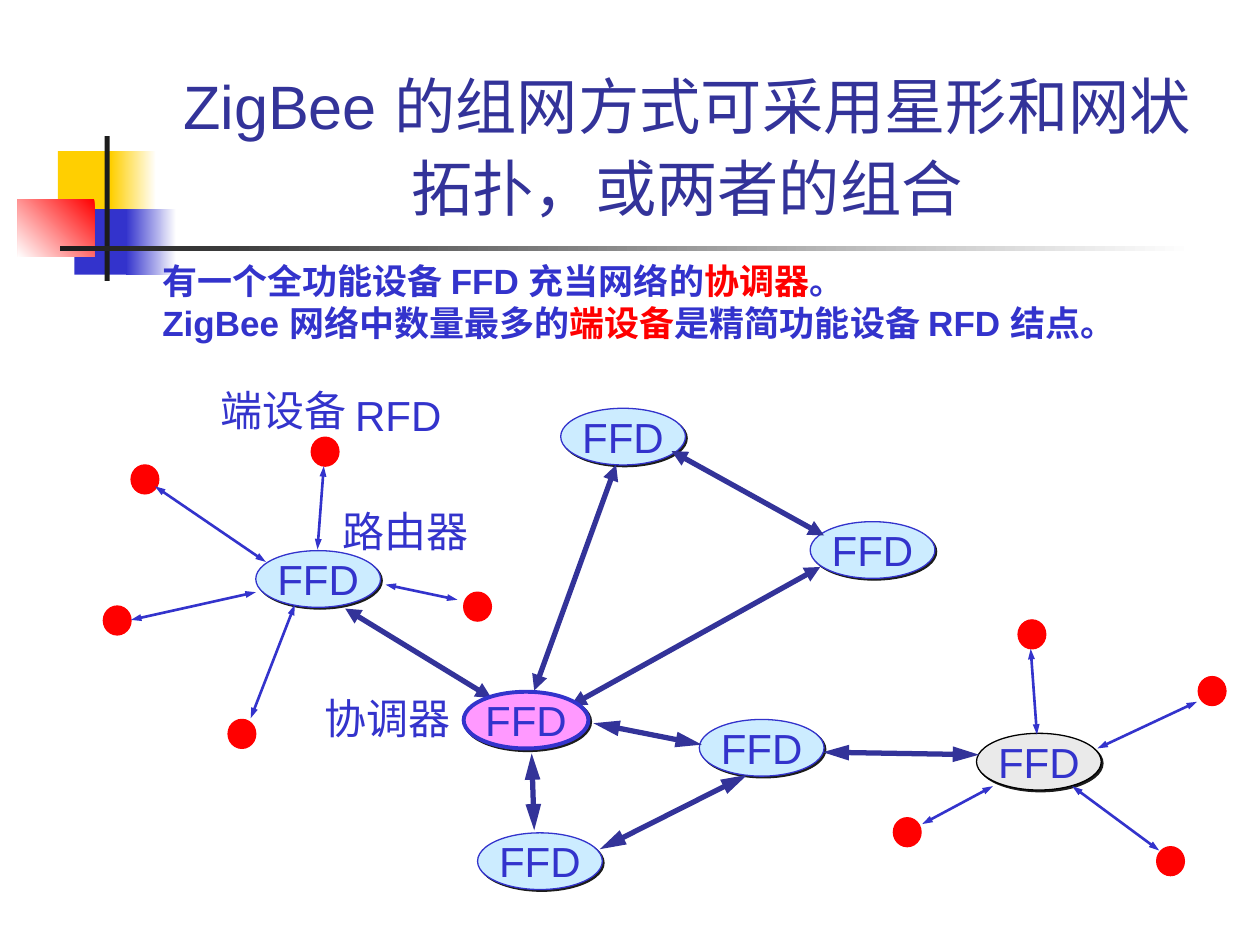
from dataclasses import dataclass
from typing import Optional

from lxml import etree
from pptx import Presentation
from pptx.dml.color import RGBColor
from pptx.enum.shapes import MSO_CONNECTOR, MSO_SHAPE
from pptx.enum.text import MSO_ANCHOR, MSO_AUTO_SIZE, PP_ALIGN
from pptx.oxml.ns import qn
from pptx.util import Inches, Pt

RECTANGLE, OVAL = MSO_SHAPE.RECTANGLE, MSO_SHAPE.OVAL
STRAIGHT = MSO_CONNECTOR.STRAIGHT
MIDDLE, BOTTOM = MSO_ANCHOR.MIDDLE, MSO_ANCHOR.BOTTOM
LEFT, CENTER = PP_ALIGN.LEFT, PP_ALIGN.CENTER
NO_FIT, GROW = MSO_AUTO_SIZE.NONE, MSO_AUTO_SIZE.SHAPE_TO_FIT_TEXT

WHITE = RGBColor(0xFF, 0xFF, 0xFF)
BLACK = RGBColor(0x00, 0x00, 0x00)
INK = RGBColor(0x1C, 0x1C, 0x1C)
RED = RGBColor(0xFF, 0x00, 0x00)
YELLOW = RGBColor(0xFF, 0xCF, 0x01)
BLUE = RGBColor(0x33, 0x33, 0xCC)
NAVY = RGBColor(0x33, 0x33, 0x99)
SKY = RGBColor(0xCC, 0xEC, 0xFF)
PINK = RGBColor(0xFF, 0x99, 0xFF)
GREY = RGBColor(0xEA, 0xEA, 0xEA)

DEVICE_SIZE = (0.22, 0.23)
NODE_SIZE = (0.99, 0.45)


@dataclass(frozen=True)
class Block:
    """A plain or fading rectangle of the slide's decoration."""
    box: tuple
    start: RGBColor
    end: Optional[RGBColor] = None
    angle: int = 180


@dataclass(frozen=True)
class Node:
    """A full-function device."""
    left: float
    top: float
    fill: RGBColor = SKY
    outline: RGBColor = BLUE
    weight: float = 0.75


@dataclass(frozen=True)
class LinkStyle:
    """Look of a two-way link."""
    color: RGBColor
    weight: float
    head_width: str
    head_length: str


@dataclass(frozen=True)
class Label:
    """Text lines, each made of (text, format) runs."""
    box: tuple
    lines: tuple
    wrap: bool = False


BLOCKS = (
    Block((0.46, 1.2, 0.48, 0.52), YELLOW),
    Block((0.88, 1.2, 0.36, 0.52), WHITE, YELLOW),
    Block((0.59, 1.66, 0.46, 0.52), BLUE),
    Block((1, 1.66, 0.4, 0.52), WHITE, BLUE),
    Block((0.14, 1.58, 0.61, 0.46), RED, WHITE, 225),
    Block((0.83, 1.08, 0.04, 1.15), INK),
    Block((0.48, 1.95, 9, 0.04), WHITE, INK),
)
DEVICES = ((2.47, 3.47), (9.18, 6.72), (7.09, 6.49), (9.51, 5.37), (8.08, 4.92),
           (1.04, 3.69), (0.82, 4.81), (1.81, 5.71), (3.68, 4.7))
ROUTERS = (Node(2.03, 4.37), Node(3.79, 6.61), Node(6.43, 4.14), Node(4.45, 3.24),
           Node(7.75, 5.82, GREY, BLACK), Node(5.55, 5.71))
COORDINATOR = Node(3.68, 5.49, PINK, BLUE, 2.25)

LINKS = {
    LinkStyle(NAVY, 3, "med", "med"): (
        (4.89, 3.69, 4.24, 5.48), (2.74, 4.83, 3.9, 5.54),
        (5.33, 3.58, 6.54, 4.25), (6.51, 4.5, 4.53, 5.6)),
    LinkStyle(NAVY, 3, "med", "lg"): (
        (4.22, 5.98, 4.24, 6.59), (5.57, 5.91, 4.71, 5.74),
        (7.77, 5.99, 6.53, 5.97), (5.93, 6.15, 4.76, 6.74)),
    LinkStyle(BLUE, 1.5, "sm", "med"): (
        (1.23, 3.86, 2.11, 4.46), (3.06, 4.64, 3.63, 4.76), (2.57, 3.7, 2.52, 4.36),
        (1.04, 4.92, 2.03, 4.7), (9.5, 5.57, 8.71, 5.94), (8.18, 5.15, 8.23, 5.83),
        (2.34, 4.8, 1.99, 5.7), (8.51, 6.24, 9.2, 6.75), (7.88, 6.24, 7.32, 6.54)),
}

PLAIN = dict(name="Arial", size=Pt(24), color=BLUE)
HEADING = dict(name="Arial", size=Pt(35), color=NAVY)
BOLD = dict(name="Arial", size=Pt(20), bold=True, color=BLUE)
CABIN = {**BOLD, "name": "Cabin"}
KEYWORD = {**CABIN, "color": RED}
KEYWORD_ARIAL = {**BOLD, "color": RED}
LABELS = (
    Label((2.72, 3.04, 0.92, 0.5), ((("RFD", PLAIN),),)),
    Label((1.65, 3, 1.2, 0.5), ((("端设备", PLAIN),),)),
    Label((2.62, 3.96, 1.2, 0.5), ((("路由器", PLAIN),),)),
    Label((2.48, 5.45, 1.2, 0.5), ((("协调器", PLAIN),),)),
    Label((1.19, 2.01, 8.02, 0.77), (
        (("有一个全功能设备 FFD 充当", BOLD), ("网络的", CABIN),
         ("协调器", KEYWORD), ("。", CABIN)),
        (("ZigBee 网络中数量最多的", BOLD), ("端设备", KEYWORD_ARIAL),
         ("是精简功能设备 RFD 结点。", BOLD))), True),
)


def write(frame, lines: tuple, align, **settings) -> None:
    """Fill a text frame with formatted lines."""
    for key, value in settings.items():
        setattr(frame, key, value)
    for index, line in enumerate(lines):
        paragraph = frame.add_paragraph() if index else frame.paragraphs[0]
        paragraph.alignment = align
        for text, style in line:
            run = paragraph.add_run()
            run.text = text
            for key, value in style.items():
                if key == "color":
                    run.font.color.rgb = value
                else:
                    setattr(run.font, key, value)


def add_filled(slide, kind, box: tuple, fill: RGBColor):
    """Add a shape with a solid fill and neither shadow nor outline."""
    shape = slide.shapes.add_shape(kind, *map(Inches, box))
    shape.shadow.inherit = False
    shape.fill.solid()
    shape.fill.fore_color.rgb = fill
    shape.line.fill.background()
    return shape


def set_outline(shape, color: RGBColor, weight: float) -> None:
    """Give a shape or connector a solid line."""
    shape.line.color.rgb = color
    shape.line.width = Pt(weight)


def add_block(slide, block: Block) -> None:
    """Draw one decoration rectangle."""
    shape = add_filled(slide, RECTANGLE, block.box, block.start)
    if block.end is not None:
        shape.fill.gradient()
        shape.fill.gradient_angle = block.angle
        for stop, color in zip(shape.fill.gradient_stops, (block.start, block.end)):
            stop.color.rgb = color


def add_node(slide, node: Node) -> None:
    """Draw a full-function device with its hard shadow."""
    shape = add_filled(slide, OVAL, (node.left, node.top, *NODE_SIZE), node.fill)
    set_outline(shape, node.outline, node.weight)
    effects = shape._element.spPr.find(qn("a:effectLst"))
    shadow = etree.SubElement(effects, qn("a:outerShdw"), dist=str(Pt(1.4)),
                              dir="2700000", algn="ctr", rotWithShape="0")
    etree.SubElement(shadow, qn("a:srgbClr"), val=str(INK))
    write(shape.text_frame, ((("FFD", PLAIN),),), CENTER,
          word_wrap=False, vertical_anchor=MIDDLE)


def add_link(slide, ends: tuple, style: LinkStyle) -> None:
    """Draw a line with an arrowhead at both ends."""
    link = slide.shapes.add_connector(STRAIGHT, *map(Inches, ends))
    set_outline(link, style.color, style.weight)
    for end in ("a:headEnd", "a:tailEnd"):
        etree.SubElement(link.line._get_or_add_ln(), qn(end), type="triangle",
                         w=style.head_width, len=style.head_length)
    etree.SubElement(link._element.spPr, qn("a:effectLst"))


def main() -> None:
    """Build and save the slide."""
    deck = Presentation()
    deck.slide_width, deck.slide_height = Inches(10), Inches(7.5)
    slide = deck.slides.add_slide(deck.slide_layouts[5])
    for block in BLOCKS:
        add_block(slide, block)
    title = slide.shapes.title
    title.left, title.top, title.width, title.height = map(Inches, (1.26, 0.23, 8.39, 1.6))
    write(title.text_frame, ((("ZigBee 的组网方式可采用星形和网状拓扑，或两者的组合", HEADING),),),
          CENTER, vertical_anchor=BOTTOM, auto_size=NO_FIT, word_wrap=True)
    title.text_frame.paragraphs[0].line_spacing = 1.12
    for corner in DEVICES:
        set_outline(add_filled(slide, OVAL, (*corner, *DEVICE_SIZE), RED), RED, 0.75)
    for router in ROUTERS:
        add_node(slide, router)
    for style, links in LINKS.items():
        for ends in links:
            add_link(slide, ends, style)
    add_node(slide, COORDINATOR)
    for label in LABELS:
        box = slide.shapes.add_textbox(*map(Inches, label.box))
        write(box.text_frame, label.lines, LEFT, word_wrap=label.wrap, auto_size=GROW)
    deck.save("out.pptx")


main()
